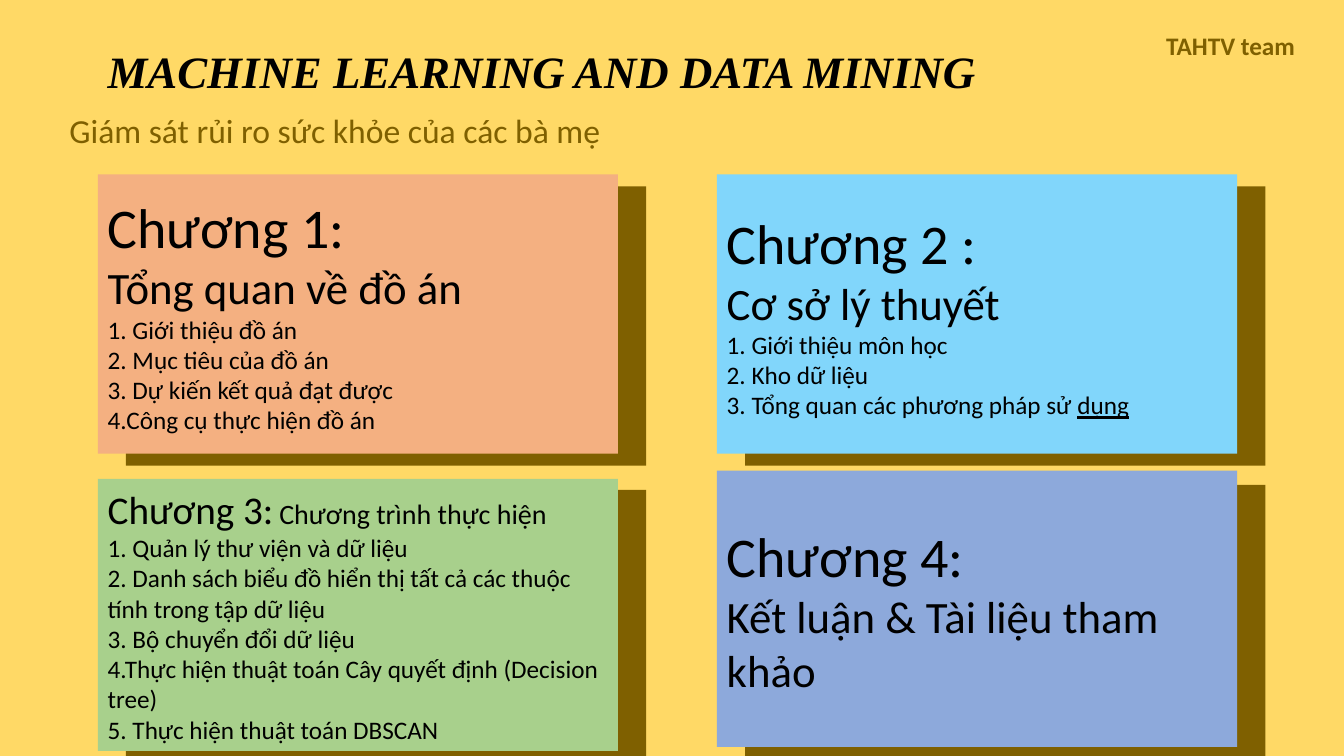
from pptx import Presentation
from pptx.dml.color import RGBColor
from pptx.enum.shapes import MSO_SHAPE
from pptx.enum.text import MSO_ANCHOR, MSO_AUTO_SIZE, PP_ALIGN
from pptx.util import Inches, Pt

COLORS = {
    "background": "FFD966", "brown": "7F6000", "black": "000000",
    "orange": "F4B081", "sky": "81D6FB", "green": "A8D08C", "blue": "8DA9DB",
}

TITLE = "MACHINE LEARNING AND DATA MINING "
SUBTITLE = "Giám sát rủi ro sức khỏe của các bà mẹ"
TEAM = "TAHTV team"

CHAPTERS = [
    {"column": 0, "top": 1.73, "height": 2.77, "drop": 0.12, "fill": "orange", "lines": [
        [("Chương 1:", 40)],
        [("Tổng quan về đồ án", 32)],
        [("1. Giới thiệu đồ án", 18)],
        [("2. Mục tiêu của đồ án", 18)],
        [("3. Dự kiến kết quả đạt được", 18)],
        [("4.Công cụ thực hiện đồ án", 18)],
    ]},
    {"column": 1, "top": 1.73, "height": 2.77, "drop": 0.12, "fill": "sky", "lines": [
        [("Chương 2 :", 40), (" ", 18)],
        [("Cơ sở lý thuyết", 32)],
        [("1. Giới thiệu môn học", 18)],
        [("2. Kho dữ liệu", 18)],
        [("3. Tổng quan các phương pháp sử ", 18), ("dụng", 18, {"underline": True})],
    ]},
    {"column": 1, "top": 4.67, "height": 2.74, "drop": 0.14, "fill": "blue", "lines": [
        [("Chương 4:", 40)],
        [("Kết luận & Tài liệu tham khảo", 32)],
    ]},
    {"column": 0, "top": 4.75, "height": 2.7, "drop": 0.11, "fill": "green", "lines": [
        [("Chương 3:", 28), (" ", 18), ("Chương trình thực hiện", 20)],
        [("1. Quản lý thư viện và dữ liệu", 18)],
        [("2. Danh sách biểu đồ hiển thị tất cả các thuộc tính trong tập dữ liệu", 18)],
        [("3. Bộ chuyển đổi dữ liệu", 18)],
        [("4.Thực hiện thuật toán Cây quyết định (Decision tree)", 18)],
        [("5. Thực hiện thuật toán DBSCAN", 18)],
    ]},
]

LEFT, COLUMN_STEP, CARD_WIDTH, SHADOW_SHIFT = 0.97, 6.14, 5.16, 0.28


def color(name):
    return RGBColor.from_string(COLORS[name])


def write(box, lines, anchor, align, tint="black", face="Calibri", **style):
    frame = box.text_frame
    settings = {
        "word_wrap": True, "auto_size": MSO_AUTO_SIZE.NONE, "vertical_anchor": anchor,
        "margin_left": Inches(0.1), "margin_right": Inches(0.1),
        "margin_top": Inches(0.05), "margin_bottom": Inches(0.05),
    }
    for name, value in settings.items():
        setattr(frame, name, value)
    for index, line in enumerate(lines):
        para = frame.add_paragraph() if index else frame.paragraphs[0]
        para.alignment = align
        for text, size, *extra in line:
            span = para.add_run()
            span.text = text
            formats = {"name": face, "size": Pt(size), **style, **(extra[0] if extra else {})}
            for name, value in formats.items():
                setattr(span.font, name, value)
            span.font.color.rgb = color(tint)


def add_card(shapes, left, top, height, fill):
    card = shapes.add_shape(MSO_SHAPE.RECTANGLE, Inches(left), Inches(top),
                            Inches(CARD_WIDTH), Inches(height))
    card.shadow.inherit = False
    card.fill.solid()
    card.fill.fore_color.rgb = color(fill)
    card.line.fill.background()
    return card


def main():
    deck = Presentation()
    deck.slide_width, deck.slide_height = Inches(13.33), Inches(7.5)
    page = deck.slides.add_slide(deck.slide_layouts[5])
    page.background.fill.solid()
    page.background.fill.fore_color.rgb = color("background")

    title = page.shapes.title
    place = {"left": 0.59, "top": 0.38, "width": 9.68, "height": 0.64}
    for name, value in place.items():
        setattr(title, name, Inches(value))
    write(title, [[(TITLE, 32)]], MSO_ANCHOR.TOP, PP_ALIGN.CENTER,
          face="Times New Roman", bold=True, italic=True)

    team = page.shapes.add_textbox(Inches(10.92), Inches(0.25), Inches(2.57), Inches(0.4))
    write(team, [[(TEAM, 18)]], MSO_ANCHOR.TOP, PP_ALIGN.CENTER, "brown", bold=True)
    subtitle = page.shapes.add_textbox(Inches(0.59), Inches(1.04), Inches(6.36), Inches(0.5))
    write(subtitle, [[(SUBTITLE, 24)]], MSO_ANCHOR.TOP, PP_ALIGN.LEFT, "brown")

    for chapter in CHAPTERS:
        left = LEFT + chapter["column"] * COLUMN_STEP
        top, height = chapter["top"], chapter["height"]
        group = page.shapes.add_group_shape()
        add_card(group.shapes, left + SHADOW_SHIFT, top + chapter["drop"], height, "brown")
        card = add_card(group.shapes, left, top, height, chapter["fill"])
        write(card, chapter["lines"], MSO_ANCHOR.MIDDLE, PP_ALIGN.LEFT)

    deck.save("out.pptx")


if __name__ == "__main__":
    main()
